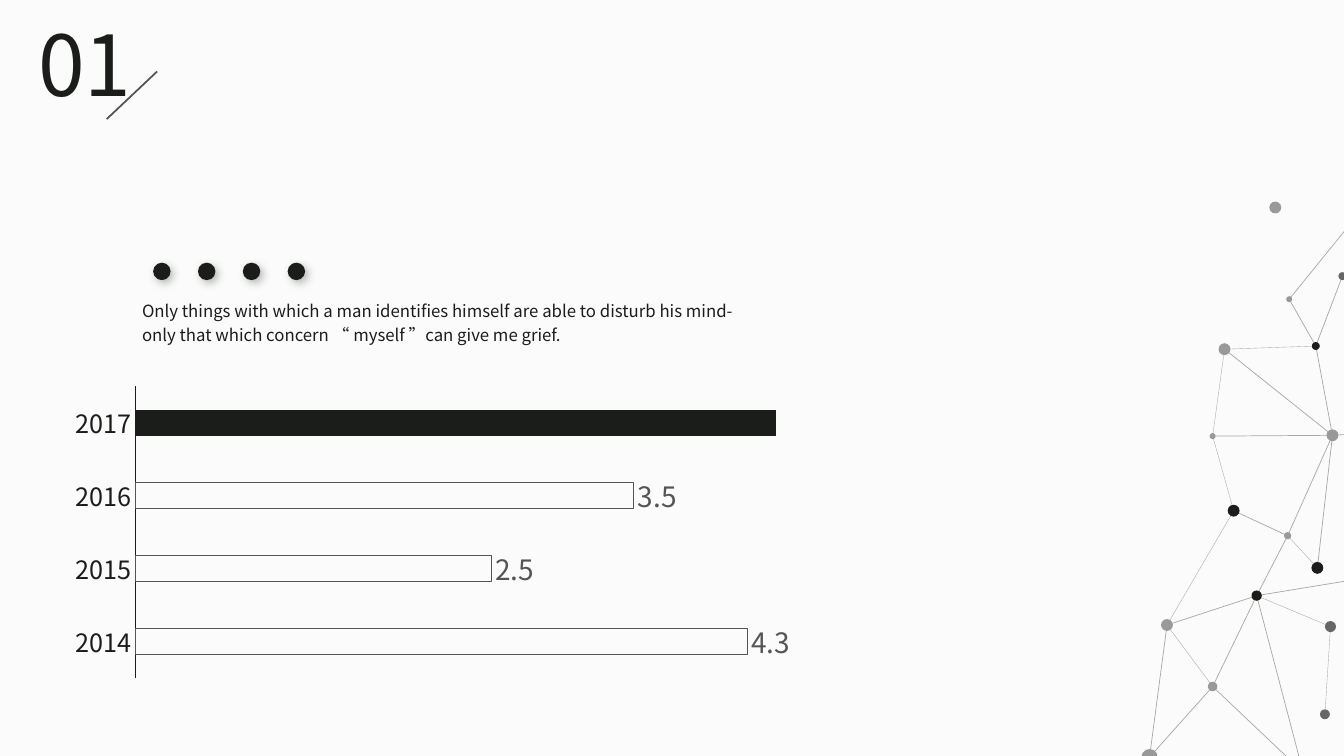
from math import hypot

from lxml.etree import SubElement
from pptx import Presentation
from pptx.chart.data import CategoryChartData
from pptx.dml.color import RGBColor
from pptx.enum.chart import XL_CHART_TYPE as ChartType, XL_LABEL_POSITION as LabelPos
from pptx.enum.chart import XL_TICK_LABEL_POSITION as TickLabelPos, XL_TICK_MARK as TickMark
from pptx.enum.shapes import MSO_CONNECTOR as Connector, MSO_SHAPE as Shape
from pptx.enum.text import MSO_ANCHOR as Anchor, MSO_AUTO_SIZE as AutoSize, PP_ALIGN as Align
from pptx.oxml import parse_xml
from pptx.oxml.ns import nsdecls, qn
from pptx.util import Cm, Pt

FONT = "Noto Sans CJK SC"
PAPER = RGBColor(0xFB, 0xFB, 0xFB)
INK = RGBColor(0x1A, 0x1D, 0x1A)
SLATE = RGBColor(0x54, 0x54, 0x54)
MID = RGBColor(0x66, 0x66, 0x66)
LIGHT = RGBColor(0x99, 0x99, 0x99)

NUMBER = "01"
QUOTE = ("Only things with which a man identifies himself are able to disturb his mind-"
         "only that which concern “ myself ”can give me grief.")
SCORES = {"2014": 4.3, "2015": 2.5, "2016": 3.5, "2017": 4.5}
HIGHLIGHT = "2017"

NODES = {
    "A": (33.83, 6.96, 0.2, MID), "B": (32.14, 5.23, 0.3, LIGHT),
    "C": (30.86, 8.8, 0.3, LIGHT), "D": (31.09, 12.87, 0.3, INK),
    "E": (30.56, 10.99, 0.15, LIGHT), "F": (32.49, 7.54, 0.15, LIGHT),
    "G": (33.2, 14.31, 0.3, INK), "H": (33.58, 10.97, 0.3, LIGHT),
    "I": (33.16, 8.72, 0.2, INK), "J": (32.45, 13.5, 0.18, LIGHT),
    "K": (33.53, 15.79, 0.28, MID), "L": (33.39, 18, 0.25, MID),
    "M": (29.41, 15.75, 0.3, LIGHT), "N": (30.56, 17.3, 0.24, LIGHT),
    "O": (28.97, 19.08, 0.41, LIGHT), "P": (31.67, 15.01, 0.26, INK),
}
EDGE_ENDS = {"top": (33.99, 5.69, 0), "right": (35.18, 10.87, 0),
             "low": (33.99, 14.63, 0), "bottom": (32.84, 19.46, 0)}
LINKS = {
    0.25: ["L K", "E D", "C E", "I C", "G J", "D M", "M N", "P K"],
    0.5: ["M O", "M P", "G H", "J H", "I A", "F top", "C H", "H right", "P low",
          "P bottom", "E H", "D J", "I H", "F I", "J P", "N O", "N bottom", "P N"],
}


def style(font, size, color):
    font.name, font.size, font.color.rgb = FONT, Pt(size), color


def add_line(s, x1, y1, x2, y2, width, alpha=None):
    line = s.shapes.add_connector(Connector.STRAIGHT, Cm(x1), Cm(y1), Cm(x2), Cm(y2))
    line.line.color.rgb, line.line.width = SLATE, Pt(width)
    sppr = line._element.spPr
    SubElement(sppr, qn("a:effectLst"))
    if alpha:
        SubElement(sppr.find(".//" + qn("a:srgbClr")), qn("a:alpha"), val=str(alpha * 1000))


def add_dot(s, x, y, size, color):
    dot = s.shapes.add_shape(Shape.OVAL, Cm(x - size / 2), Cm(y - size / 2), Cm(size), Cm(size))
    dot.shadow.inherit = False
    dot.fill.solid()
    dot.fill.fore_color.rgb = color
    dot.line.fill.background()
    return dot


def add_network(s):
    points = {name: node[:3] for name, node in NODES.items()} | EDGE_ENDS
    for node in NODES.values():
        add_dot(s, *node)
    for width, links in LINKS.items():
        for link in links:
            (x1, y1, d1), (x2, y2, d2) = (points[name] for name in link.split())
            length = hypot(x2 - x1, y2 - y1)
            ux, uy = (x2 - x1) / length, (y2 - y1) / length
            add_line(s, x1 + ux * d1 / 2, y1 + uy * d1 / 2,
                     x2 - ux * d2 / 2, y2 - uy * d2 / 2, width, 50)


def add_scores(s):
    data = CategoryChartData()
    data.categories = list(SCORES)
    data.add_series("Series 1", list(SCORES.values()))
    chart = s.shapes.add_chart(ChartType.BAR_CLUSTERED, Cm(0.97), Cm(9.07),
                               Cm(20.62), Cm(8.13), data).chart
    chart.has_legend = chart.has_title = False
    style(chart.font, 10, INK)
    years, values = chart.category_axis, chart.value_axis
    style(years.tick_labels.font, 18, INK)
    years.major_tick_mark = TickMark.NONE
    years.format.line.color.rgb, years.format.line.width = INK, Pt(0.75)
    values.minimum_scale, values.maximum_scale = 0, 5
    values.has_major_gridlines = False
    values.tick_label_position = TickLabelPos.NONE
    values.visible = False

    plot = chart.plots[0]
    plot.gap_width, plot.vary_by_categories = 182, False
    plot.has_data_labels = True
    labels = plot.data_labels
    labels.show_value, labels.position = True, LabelPos.OUTSIDE_END
    style(labels.font, 20, INK)
    for i, year in enumerate(SCORES):
        point = plot.series[0].points[i]
        if year == HIGHLIGHT:
            point.format.fill.solid()
            point.format.fill.fore_color.rgb = INK
        else:
            point.format.fill.background()
            point.format.line.color.rgb, point.format.line.width = SLATE, Pt(0.75)
            style(point.data_label.font, 20, SLATE)
            point.data_label.position = LabelPos.OUTSIDE_END

    area = chart._chartSpace.chart.plotArea
    for old in area.findall(qn("c:layout")):
        area.remove(old)
    frame = {"x": 0.119, "y": 0.082, "w": 0.869, "h": 0.905}
    sizes = "".join(f'<c:{key} val="{val}"/>' for key, val in frame.items())
    area.insert(0, parse_xml(
        f'<c:layout {nsdecls("c")}><c:manualLayout><c:layoutTarget val="inner"/>'
        f'<c:xMode val="edge"/><c:yMode val="edge"/>{sizes}</c:manualLayout></c:layout>'))


def place_text(shape, text, box, size, align):
    shape.left, shape.top, shape.width, shape.height = map(Cm, box)
    tf = shape.text_frame
    tf.text = text
    tf.word_wrap, tf.auto_size, tf.vertical_anchor = True, AutoSize.NONE, Anchor.TOP
    p = tf.paragraphs[0]
    p.alignment, p.space_before = align, Pt(0)
    style(p.runs[0].font, size, INK)
    return p


def add_shadow(dot):
    effects = dot._element.spPr.find(qn("a:effectLst"))
    effects.append(parse_xml(
        f'<a:outerShdw {nsdecls("a")} blurRad="76200" dist="38100" dir="2700000" algn="tl">'
        '<a:srgbClr val="505950"><a:alpha val="40000"/></a:srgbClr></a:outerShdw>'))


def main():
    """Build the slide with a score chart, a quotation and a node network."""
    prs = Presentation()
    prs.slide_width, prs.slide_height = Cm(33.87), Cm(19.05)
    s = prs.slides.add_slide(prs.slide_layouts[5])
    s.background.fill.solid()
    s.background.fill.fore_color.rgb = PAPER
    add_scores(s)
    add_network(s)
    quote = s.shapes.add_textbox(0, 0, 0, 0)
    p = place_text(quote, QUOTE, (3.33, 7.34, 16.03, 1.5), 12, Align.LEFT)
    p.line_spacing = 1.2
    for i in range(4):
        add_shadow(add_dot(s, 4.08 + i * 1.13, 6.84, 0.44, INK))
    place_text(s.shapes.title, NUMBER, (0.71, 0.18, 2.9, 2.82), 60, Align.JUSTIFY)
    add_line(s, 3.96, 1.8, 2.69, 3, 1.25)
    prs.save("out.pptx")


if __name__ == "__main__":
    main()
